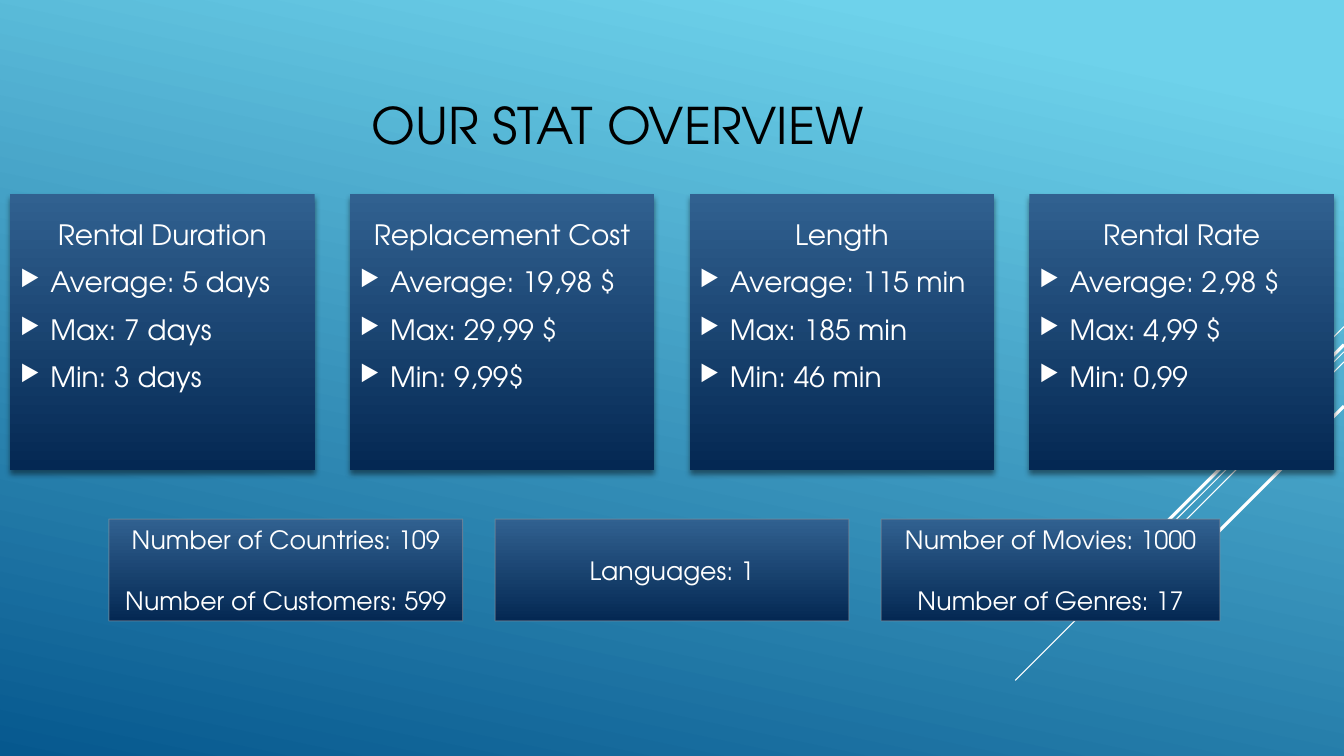
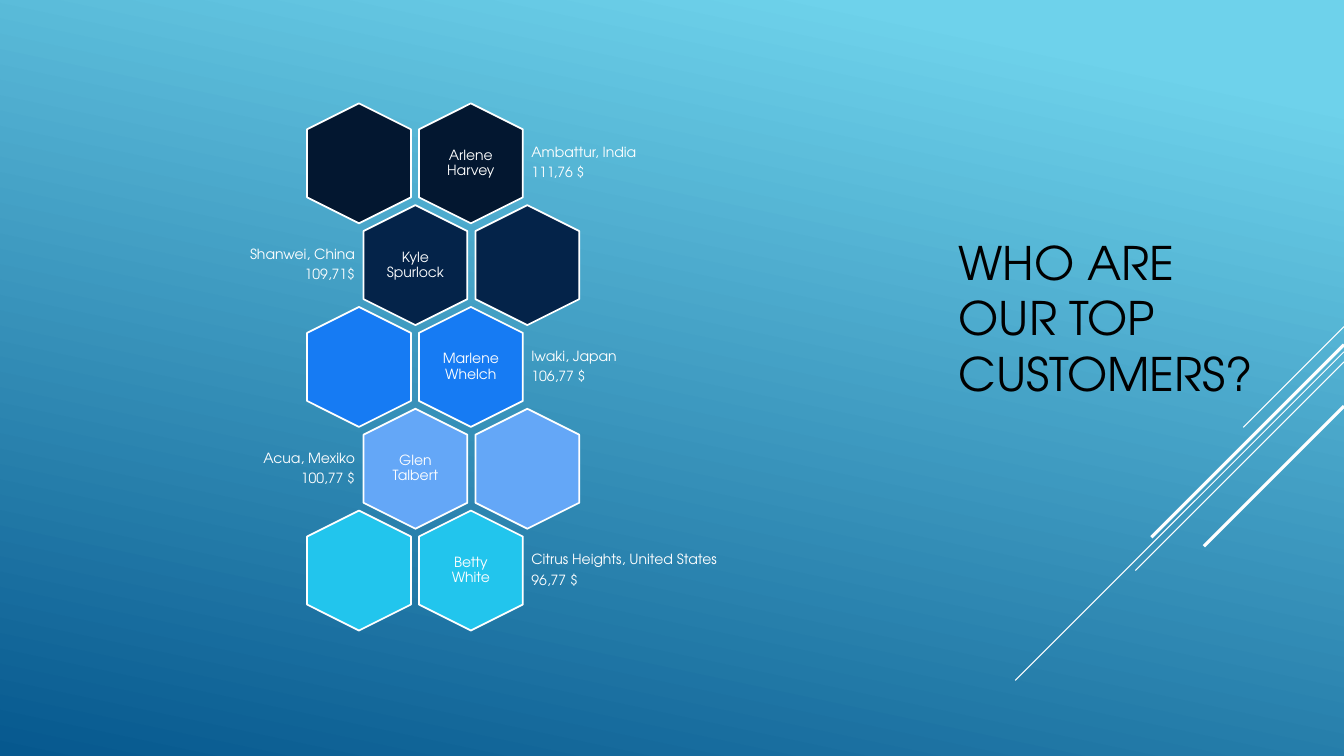
from lxml import etree
from pptx import Presentation
from pptx.dml.color import RGBColor
from pptx.enum import shapes, text
from pptx.oxml import ns
from pptx.util import Inches, Pt

FONT = "TeX Gyre Adventor"
WIDTH, HEIGHT = 13.33, 7.5
COLORS = {
    "sky": "6ED2EB", "sea": "06588E",
    "panel_top": "316190", "panel_bottom": "042853",
    "edge": "89919C", "white": "FFFFFF", "black": "000000",
}
ALIGN = text.PP_ALIGN
MIDDLE = text.MSO_ANCHOR.MIDDLE

RAYS = [(3.24, 1.0, 0.75), (3.49, 3.26, 0.75), (3.59, 2.07, 0.75),
        (3.42, 1.91, 2.25), (4.03, 1.39, 2.25)]
CARDS = [
    ("Rental Duration", ["Average: 5 days", "Max: 7 days", "Min: 3 days"]),
    ("Replacement Cost", ["Average: 19,98 $", "Max: 29,99 $", "Min: 9,99$"]),
    ("Length", ["Average: 115 min", "Max: 185 min", "Min: 46 min"]),
    ("Rental Rate", ["Average: 2,98 $", "Max: 4,99 $", "Min: 0,99"]),
]
FACTS = [
    (3.51, ["Number of Countries: 109", "Number of Customers: 599"]),
    (3.51, ["Languages: 1"]),
    (3.36, ["Number of Movies: 1000", "Number of Genres: 17"]),
]
CUSTOMERS = [
    ("Arlene Harvey", "Ambattur, India", "111,76 $", "031730"),
    ("Kyle Spurlock", "Shanwei, China", "109,71$", "042349"),
    ("Marlene Whelch", "Iwaki, Japan", "106,77 $", "167BF3"),
    ("Glen Talbert", "Acua, Mexiko", "100,77 $", "64A7F7"),
    ("Betty White", "Citrus Heights, United States", "96,77 $", "22C5ED"),
]


def rgb(color):
    """Turn a colour name or hex string into an RGBColor."""
    return RGBColor.from_string(COLORS.get(color, color))


def add_xml(parent, tag, **attrs):
    """Append a DrawingML element and return it."""
    return etree.SubElement(parent, ns.qn("a:" + tag), attrs)


def gradient(fill, angle, first, last, start=0.0):
    """Fill with a two-colour linear gradient at a clockwise angle."""
    fill.gradient()
    fill.gradient_angle = 360 - angle
    for stop, color, pos in zip(fill.gradient_stops, (first, last), (start, 1.0)):
        stop.color.rgb = rgb(color)
        stop.position = pos


def style(p, size, color="white", align=ALIGN.LEFT):
    """Set the font and alignment of a paragraph."""
    p.alignment = align
    p.font.name = FONT
    p.font.size = Pt(size)
    p.font.color.rgb = rgb(color)


def paragraphs(tf, lines):
    """Write one paragraph per line and return them."""
    tf.word_wrap = True
    for i, line in enumerate(lines):
        p = tf.add_paragraph() if i else tf.paragraphs[0]
        p.text = line
    return tf.paragraphs


def add_text(slide, box, lines, size, color="white", align=ALIGN.LEFT, inset=None):
    """Add a vertically centred text box and return its paragraphs."""
    tf = slide.shapes.add_textbox(*map(Inches, box)).text_frame
    tf.vertical_anchor = MIDDLE
    if inset is not None:
        tf.margin_left = tf.margin_right = Inches(inset)
        tf.margin_top = tf.margin_bottom = Inches(inset)
    ps = paragraphs(tf, lines)
    for p in ps:
        style(p, size, color, align)
    return ps


def add_panel(slide, box):
    """Add a rectangle with the dark blue gradient."""
    sp = slide.shapes.add_shape(shapes.MSO_SHAPE.RECTANGLE, *map(Inches, box))
    sp.shadow.inherit = False
    gradient(sp.fill, 90, "panel_top", "panel_bottom")
    return sp


def add_base(prs, title, box, size, align):
    """Add a slide with the shared background, rays and title."""
    slide = prs.slides.add_slide(prs.slide_layouts[6])
    gradient(slide.background.fill, 102, "sky", "sea", 0.1)
    for top, reach, width in RAYS:
        ray = slide.shapes.add_connector(
            shapes.MSO_CONNECTOR.STRAIGHT, Inches(WIDTH), Inches(top),
            Inches(WIDTH - reach), Inches(top + reach))
        ray.line.color.rgb = rgb("white")
        ray.line.width = Pt(width)
        add_xml(ray._element.spPr, "effectLst")
    add_text(slide, box, [title], size, "black", align)
    return slide


def add_card(slide, box, heading, items):
    """Add a shadowed card with a heading and bulleted figures."""
    sp = add_panel(slide, box)
    sp.line.fill.background()
    effects = sp._element.spPr.find(ns.qn("a:effectLst"))
    shadow = add_xml(effects, "outerShdw", blurRad=str(Pt(4)), dist=str(Pt(3)),
                     dir="5400000", rotWithShape="0")
    add_xml(add_xml(shadow, "srgbClr", val=COLORS["black"]), "alpha", val="46000")
    tf = sp.text_frame
    tf.vertical_anchor = text.MSO_ANCHOR.TOP
    tf.margin_top = Inches(0.24)
    for i, p in enumerate(paragraphs(tf, [heading, *items])):
        p.space_after = Pt(5.7)
        if i:
            p.space_before = Pt(4)
            pPr = p._p.get_or_add_pPr()
            pPr.set("marL", str(Inches(0.3)))
            pPr.set("indent", str(Inches(-0.3)))
            add_xml(add_xml(pPr, "buClr"), "srgbClr", val=COLORS["white"])
            add_xml(pPr, "buSzPct", val="80000")
            add_xml(pPr, "buChar", char="▶")
        style(p, 20, align=ALIGN.LEFT if i else ALIGN.CENTER)


def add_fact(slide, box, lines):
    """Add an outlined panel with centred facts."""
    sp = add_panel(slide, box)
    sp.line.color.rgb = rgb("edge")
    sp.line.width = Pt(0.75)
    edge = sp._element.spPr.find(".//" + ns.qn("a:ln")).find(".//" + ns.qn("a:srgbClr"))
    add_xml(edge, "alpha", val="60000")
    sp.text_frame.vertical_anchor = MIDDLE
    for i, p in enumerate(paragraphs(sp.text_frame, lines)):
        if i:
            p.space_before = Pt(21.5)
        style(p, 18, align=ALIGN.CENTER)


def add_hexagon(slide, cx, cy, color):
    """Add an upright hexagon around a centre point."""
    w, h = 1.19, 1.03
    sp = slide.shapes.add_shape(shapes.MSO_SHAPE.HEXAGON, Inches(cx - w / 2),
                                Inches(cy - h / 2), Inches(w), Inches(h))
    sp.rotation = 90
    sp.shadow.inherit = False
    sp.fill.solid()
    sp.fill.fore_color.rgb = rgb(color)
    sp.line.color.rgb = rgb("white")
    sp.line.width = Pt(1.25)


def add_customer(slide, left, cy, customer, named_right):
    """Add a pair of hexagons, the customer's name and the side label."""
    name, place, amount, color = customer
    centers = [left, left + 1.11]
    for cx in centers:
        add_hexagon(slide, cx, cy, color)
    cx = centers[named_right]
    label_w, offset = 2.35, 0.56
    label_x = cx + offset if named_right else cx - offset - label_w
    side = ALIGN.LEFT if named_right else ALIGN.RIGHT
    ps = [*add_text(slide, (cx - 0.36, cy - 0.41, 0.72, 0.82), [name], 10,
                    align=ALIGN.CENTER, inset=0.04),
          *add_text(slide, (label_x, cy - 0.35, label_w, 0.7), [place, amount], 10,
                    align=side, inset=0.04)]
    for p in ps:
        p.line_spacing = 0.9
        p.space_after = Pt(3.5)


def stat_slide(prs):
    """Build the slide of film statistics."""
    slide = add_base(prs, "OUR STAT OVERVIEW", (1.46, 0.41, 9.33, 1.65), 36, ALIGN.CENTER)
    margin, card_w = 0.1, 3.02
    pitch = (WIDTH - 2 * margin - card_w) / (len(CARDS) - 1)
    for i, (heading, items) in enumerate(CARDS):
        add_card(slide, (margin + i * pitch, 1.92, card_w, 2.74), heading, items)
    left = 1.08
    for width, lines in FACTS:
        add_fact(slide, (left, 5.15, width, 1.01), lines)
        left += width + 0.32


def customer_slide(prs):
    """Build the slide of top customers."""
    slide = add_base(prs, "WHO ARE OUR TOP CUSTOMERS?", (9.41, 1.65, 3.33, 3), 33, ALIGN.LEFT)
    for i, customer in enumerate(CUSTOMERS):
        odd = i % 2
        add_customer(slide, 3.56 + 0.56 * odd, 1.62 + 1.01 * i, customer, not odd)


def main():
    """Build and save the presentation."""
    prs = Presentation()
    prs.slide_width, prs.slide_height = Inches(WIDTH), Inches(HEIGHT)
    stat_slide(prs)
    customer_slide(prs)
    prs.save("out.pptx")


if __name__ == "__main__":
    main()
